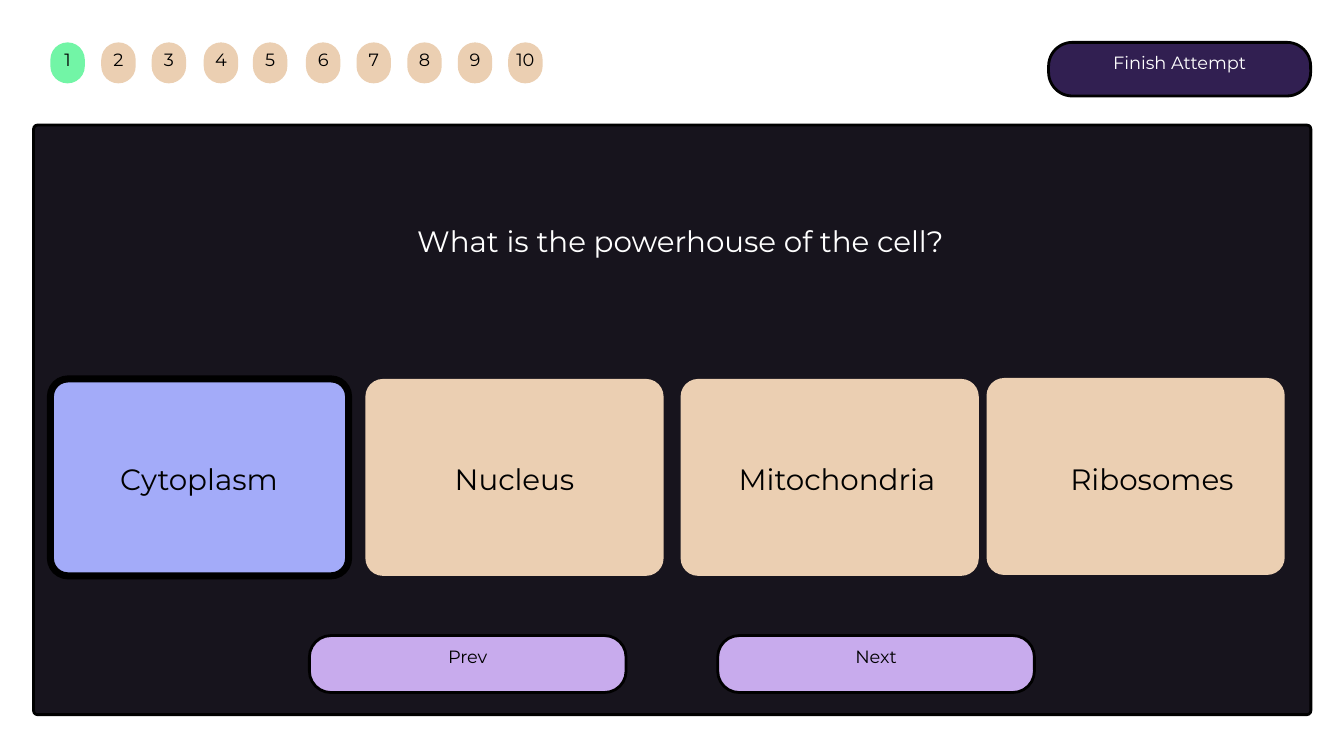
from dataclasses import dataclass
from typing import Any

import pptx
import pptx.dml.color
import pptx.enum.shapes
import pptx.enum.text
import pptx.util

Pt = pptx.util.Pt
ANCHOR = pptx.enum.text.MSO_ANCHOR
AUTO_SIZE = pptx.enum.text.MSO_AUTO_SIZE

BLACK, WHITE = "000000", "FFFFFF"
DARK, PURPLE, LILAC = "17141D", "311F51", "C8ABED"
SAND, GREEN, BLUE = "EBCFB2", "72F5A6", "A3ABF9"


@dataclass(frozen=True)
class Box:
    """A rectangle in points."""
    left: float
    top: float
    width: float
    height: float


@dataclass(frozen=True)
class TextStyle:
    size: float
    line_spacing: float
    inset: float
    anchor: Any


@dataclass(frozen=True)
class Button:
    label: str
    box: Box
    radius: float
    fill: str
    text_color: str = BLACK
    border: float = 0
    text_rise: float = 20  # how far the label area reaches above the button


@dataclass(frozen=True)
class Answer:
    label: str
    left: float
    label_left: float
    top: float = 406
    fill: str = SAND
    border: float = 0


LARGE = TextStyle(31.5, 44.1, 0, ANCHOR.TOP)
SMALL = TextStyle(19, 26.6, 4, ANCHOR.MIDDLE)

PANEL = Box(36, 134, 1368.5, 631.7)
QUESTION = Box(90, 232.5, 1278, 42.5)

ANSWERS = [
    Answer("Cytoplasm", 54, 102, fill=BLUE, border=7.5),
    Answer("Nucleus", 391.5, 440),
    Answer("Mitochondria", 729.2, 785.5),
    Answer("Ribosomes", 1057, 1123, top=405),
]

BUTTONS = [
    Button("Prev", Box(331.5, 681, 339.3, 61), 23, LILAC, border=3),
    Button("Next", Box(769, 681, 339.3, 61), 23, LILAC, border=3),
    Button("Finish Attempt", Box(1123.5, 45.4, 280.8, 57.5), 25.5, PURPLE,
           text_color=WHITE, border=3, text_rise=19.3),
]

# The question numbers are unevenly spaced
NUMBER_LEFTS = [54, 108.5, 162.5, 218.3, 271, 327.8, 382, 436.4, 490.5, 544.5]
NUMBERS = [
    Button(str(number), Box(left, 45.4, 36.9, 43.9), 18.4,
           GREEN if number == 1 else SAND, text_rise=11.5)
    for number, left in enumerate(NUMBER_LEFTS, start=1)
]


def color(hex_value: str) -> pptx.dml.color.RGBColor:
    return pptx.dml.color.RGBColor.from_string(hex_value)


def apply(target: Any, values: dict[str, Any]) -> None:
    for name, value in values.items():
        setattr(target, name, value)


def lengths(box: Box) -> tuple:
    return Pt(box.left), Pt(box.top), Pt(box.width), Pt(box.height)


def draw_rounded(slide: Any, box: Box, radius: float, fill: str,
                 border: float = 0) -> None:
    rounded = slide.shapes.add_shape(
        pptx.enum.shapes.MSO_SHAPE.ROUNDED_RECTANGLE, *lengths(box))
    rounded.adjustments[0] = radius / min(box.width, box.height)
    rounded.shadow.inherit = False
    rounded.fill.solid()
    rounded.fill.fore_color.rgb = color(fill)
    if border:
        rounded.line.color.rgb = color(BLACK)
        rounded.line.width = Pt(border)
    else:
        rounded.line.fill.background()


def write(frame: Any, text: str, style: TextStyle, text_color: str) -> None:
    margin = Pt(style.inset)
    apply(frame, {
        "text": text,
        "word_wrap": True,
        "auto_size": AUTO_SIZE.NONE,
        "vertical_anchor": style.anchor,
        "margin_left": margin,
        "margin_top": margin,
        "margin_right": margin,
        "margin_bottom": margin,
    })
    line = frame.paragraphs[0]
    apply(line, {
        "alignment": pptx.enum.text.PP_ALIGN.CENTER,
        "line_spacing": Pt(style.line_spacing),
        "space_before": Pt(0),
    })
    run_font = line.runs[0].font
    apply(run_font, {"name": "Montserrat", "size": Pt(style.size)})
    run_font.color.rgb = color(text_color)


def draw_label(slide: Any, box: Box, text: str, style: TextStyle,
               text_color: str = BLACK) -> None:
    label = slide.shapes.add_textbox(*lengths(box))
    write(label.text_frame, text, style, text_color)


def draw_question(slide: Any, text: str) -> None:
    question = slide.shapes.title
    apply(question, dict(zip(("left", "top", "width", "height"),
                             lengths(QUESTION))))
    write(question.text_frame, text, LARGE, WHITE)
    # Bring the title in front of the panel
    question.element.getparent().append(question.element)


def draw_answer(slide: Any, answer: Answer) -> None:
    card = Box(answer.left, answer.top, 319.5, 211)
    draw_rounded(slide, card, 18.8, answer.fill, answer.border)
    draw_label(slide, Box(answer.label_left, 487.5, 222.5, 42.5),
               answer.label, LARGE)


def draw_button(slide: Any, button: Button) -> None:
    box = button.box
    draw_rounded(slide, box, button.radius, button.fill, button.border)
    label_box = Box(box.left, box.top - button.text_rise,
                    box.width, box.height + button.text_rise)
    draw_label(slide, label_box, button.label, SMALL, button.text_color)


def main() -> None:
    deck = pptx.Presentation()
    apply(deck, {"slide_width": Pt(1440), "slide_height": Pt(810)})
    slide = deck.slides.add_slide(deck.slide_layouts.get_by_name("Title Only"))

    # Question panel
    draw_rounded(slide, PANEL, 4.2, DARK, border=3)
    draw_question(slide, "What is the powerhouse of the cell?")

    # Answer cards
    for answer in ANSWERS:
        draw_answer(slide, answer)

    # Navigation buttons and question numbers
    for button in BUTTONS + NUMBERS:
        draw_button(slide, button)

    deck.save("out.pptx")


if __name__ == "__main__":
    main()
